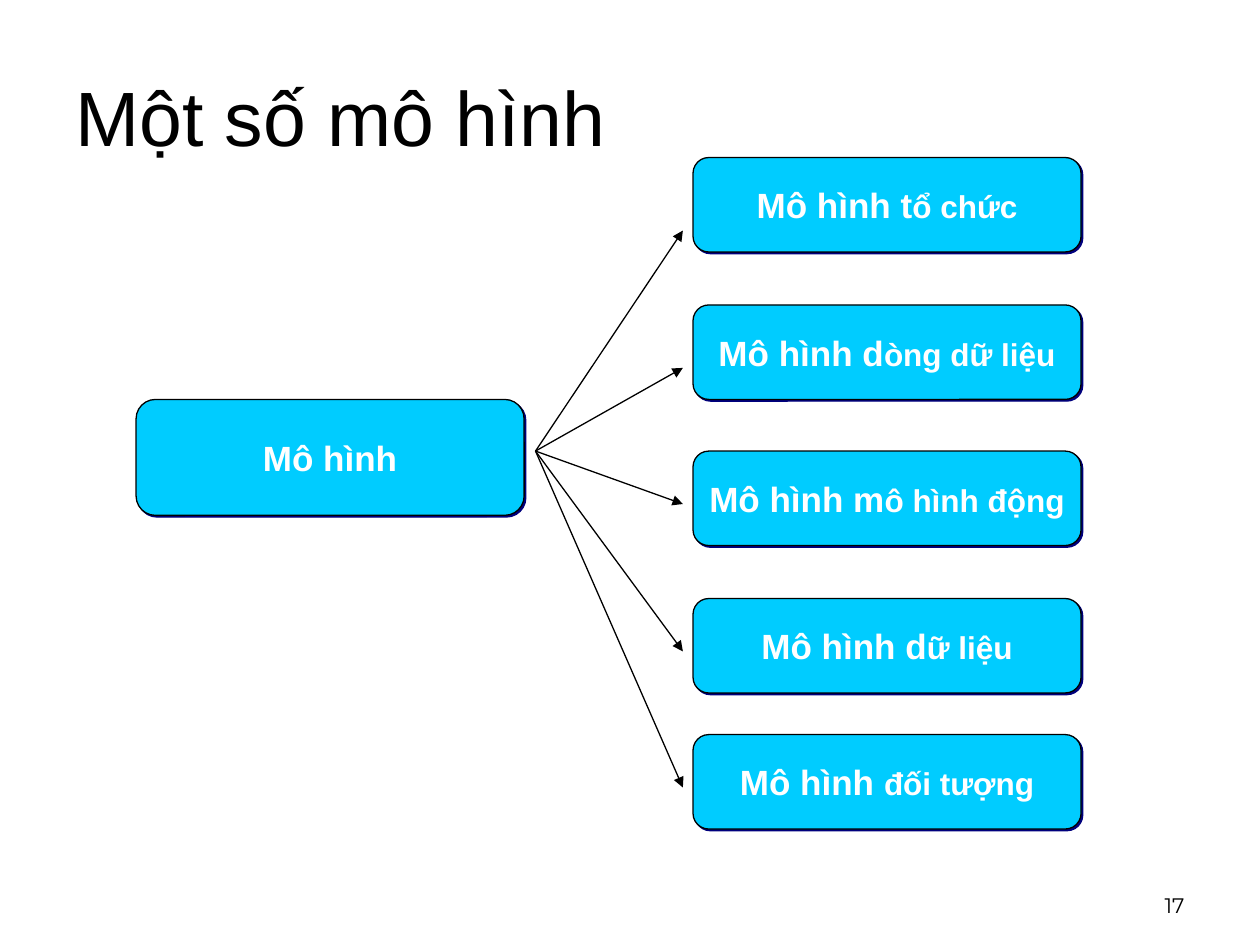
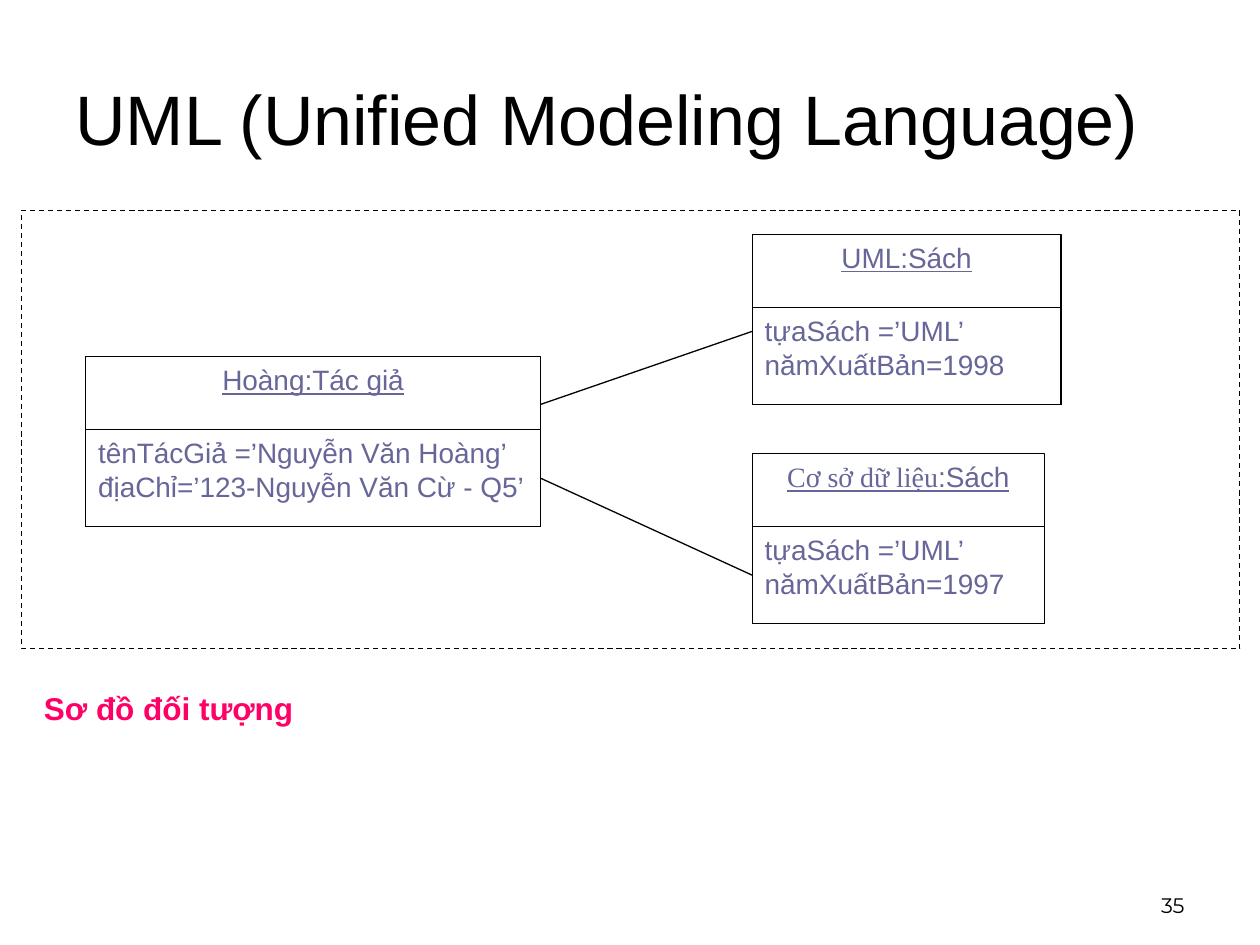
from lxml.etree import SubElement
from pptx import Presentation
from pptx.dml.color import RGBColor
from pptx.enum.dml import MSO_LINE
from pptx.enum.shapes import MSO_CONNECTOR, MSO_SHAPE
from pptx.enum.text import MSO_ANCHOR, MSO_AUTO_SIZE, PP_ALIGN
from pptx.oxml.ns import qn
from pptx.util import Inches, Pt

BLACK, WHITE = "000000", "FFFFFF"
CYAN, NAVY, SLATE, PINK = "00CCFF", "00007D", "666699", "FF0066"


def rgb(value):
    """Turn a hex string into a colour."""
    return RGBColor.from_string(value)


def set_formats(target, formats):
    """Set every attribute named in a dict of format values."""
    for name, value in formats.items():
        setattr(target, name, value)


class Deck:
    """Hold the shared style and the slide being built."""

    title_font = dict(name="Arial", size=Pt(44))
    number_font = dict(name="Montserrat", size=Pt(12))
    caption_font = dict(name="Arial", size=Pt(18), bold=True)
    model_font = dict(name="Arial", size=Pt(20), bold=True)
    object_font = dict(name="Arial", size=Pt(16))

    def __init__(self):
        """Start a presentation of 10 by 7.5 inches."""
        self.deck = Presentation()
        set_formats(self.deck, dict(slide_width=Inches(10), slide_height=Inches(7.5)))
        self.slide = None

    def new_slide(self, title, number, title_height, title_format, **font):
        """Add a slide with its title and number."""
        self.slide = self.deck.slides.add_slide(self.deck.slide_layouts[6])
        self.text([0.5, 0.5, 9, title_height], [[(title, font)]], self.title_font, BLACK,
                  frame=dict(word_wrap=True, vertical_anchor=MSO_ANCHOR.MIDDLE, **title_format))
        self.text([7.17, 6.83, 2.33, 0.5], [[(number, {})]], self.number_font, BLACK,
                  PP_ALIGN.RIGHT, dict(word_wrap=True, vertical_anchor=MSO_ANCHOR.BOTTOM))

    def fill_text(self, shape, paragraphs, font, color, align, frame):
        """Fill a shape with paragraphs of (text, font changes) runs."""
        set_formats(shape.text_frame, frame)
        for index, runs in enumerate(paragraphs):
            paragraph = shape.text_frame.paragraphs[0] if index == 0 else shape.text_frame.add_paragraph()
            paragraph.alignment = align
            for words, changes in runs:
                run = paragraph.add_run()
                run.text = words
                set_formats(run.font, font | changes)
                run.font.color.rgb = rgb(color)

    def text(self, box, paragraphs, font, color, align=PP_ALIGN.LEFT, frame=None):
        """Add a text box."""
        shape = self.slide.shapes.add_textbox(*map(Inches, box))
        self.fill_text(shape, paragraphs, font, color, align, frame or {})

    def outline(self, line):
        """Give a line the shared colour and width."""
        line.color.rgb = rgb(BLACK)
        line.width = Pt(0.75)

    def box(self, kind, box, fill=None):
        """Add an outlined preset shape without shadow."""
        shape = self.slide.shapes.add_shape(kind, *map(Inches, box))
        shape.shadow.inherit = False
        if fill:
            shape.fill.solid()
            shape.fill.fore_color.rgb = rgb(fill)
        else:
            shape.fill.background()
        self.outline(shape.line)
        return shape

    def model(self, box, runs):
        """Add a rounded model box with a hard shadow."""
        shape = self.box(MSO_SHAPE.ROUNDED_RECTANGLE, box, CYAN)
        shape.adjustments[0] = 0.167
        effects = shape._element.spPr.find(qn("a:effectLst"))
        shadow = SubElement(effects, qn("a:outerShdw"), dist="17780", dir="2700000",
                            algn="ctr", rotWithShape="0")
        SubElement(shadow, qn("a:srgbClr"), val=NAVY)
        self.fill_text(shape, [runs], self.model_font, WHITE, PP_ALIGN.CENTER,
                       dict(word_wrap=False, vertical_anchor=MSO_ANCHOR.MIDDLE))

    def uml_object(self, left, top, width, name, attributes):
        """Add a UML object and return its attribute compartment."""
        frame = dict(word_wrap=True, vertical_anchor=MSO_ANCHOR.TOP)
        header = self.box(MSO_SHAPE.RECTANGLE, [left, top, width, 1.35], WHITE)
        self.fill_text(header, [name], self.object_font | dict(underline=True), SLATE,
                       PP_ALIGN.CENTER, frame)
        compartment = self.box(MSO_SHAPE.RECTANGLE, [left, top + 0.58, width, 0.77], WHITE)
        self.fill_text(compartment, [[(attribute, {})] for attribute in attributes],
                       self.object_font, SLATE, PP_ALIGN.LEFT, frame)
        return compartment

    def link(self, start, end, arrow=False):
        """Add a straight line, with an arrowhead at its end if asked."""
        line = self.slide.shapes.add_connector(MSO_CONNECTOR.STRAIGHT, *map(Inches, start + end))
        self.outline(line.line)
        properties = line._element.spPr
        if arrow:
            SubElement(properties.find(qn("a:ln")), qn("a:tailEnd"), type="triangle")
        SubElement(properties, qn("a:effectLst"))
        return line


def models_slide(deck):
    """Build the slide that lists the kinds of model."""
    deck.new_slide("Một số mô hình", "17", 0.83, {})
    deck.model([1.08, 3.17, 3.08, 0.92], [("Mô hình", {})])
    branches = [
        ("Mô hình t", "ổ chức", 1.25, 1.83),
        ("Mô hình d", "òng dữ liệu", 2.42, 2.92),
        ("Mô hình m", "ô hình động", 3.58, 4),
        ("Mô hình d", "ữ liệu", 4.75, 5.17),
        ("Mô hình ", "đối tượng", 5.83, 6.25),
    ]
    for opening, ending, top, arrow_end in branches:
        deck.model([5.5, top, 3.08, 0.75], [(opening, {}), (ending, dict(size=Pt(18)))])
        deck.link([4.25, 3.58], [5.42, arrow_end], arrow=True)


def objects_slide(deck):
    """Build the slide with the UML object diagram."""
    deck.new_slide("UML (Unified Modeling Language)", "35", 1.5,
                   dict(margin_bottom=Inches(0.69)), size=Pt(40))
    deck.text([0.25, 5.42, 2.18, 0.4], [[("Sơ đồ đối tượng", {})]], deck.caption_font, PINK,
              frame=dict(word_wrap=False, auto_size=MSO_AUTO_SIZE.SHAPE_TO_FIT_TEXT))
    border = deck.box(MSO_SHAPE.RECTANGLE, [0.17, 1.67, 9.67, 3.48])
    border.line.dash_style = MSO_LINE.DASH
    author = deck.uml_object(0.68, 2.83, 3.61, [("Hoàng:Tác giả", {})],
                             ["tênTácGiả =’Nguyễn Văn Hoàng’", "địaChỉ=’123-Nguyễn Văn Cừ - Q5’"])
    deck.uml_object(5.97, 1.86, 2.45, [("UML:Sách", {})], ["tựaSách =’UML’", "nămXuấtBản=1998"])
    database_book = deck.uml_object(
        5.97, 3.6, 2.32, [("Cơ sở dữ liệu", dict(name="Times New Roman")), (":Sách", {})],
        ["tựaSách =’UML’", "nămXuấtBản=1997"])
    deck.link([4.29, 3.21], [5.97, 2.63])
    authorship = deck.link([4.29, 3.79], [5.97, 4.57])
    authorship.begin_connect(author, 3)
    authorship.end_connect(database_book, 1)


def main():
    """Build and save the presentation."""
    deck = Deck()
    models_slide(deck)
    objects_slide(deck)
    deck.deck.save("out.pptx")


if __name__ == "__main__":
    main()
